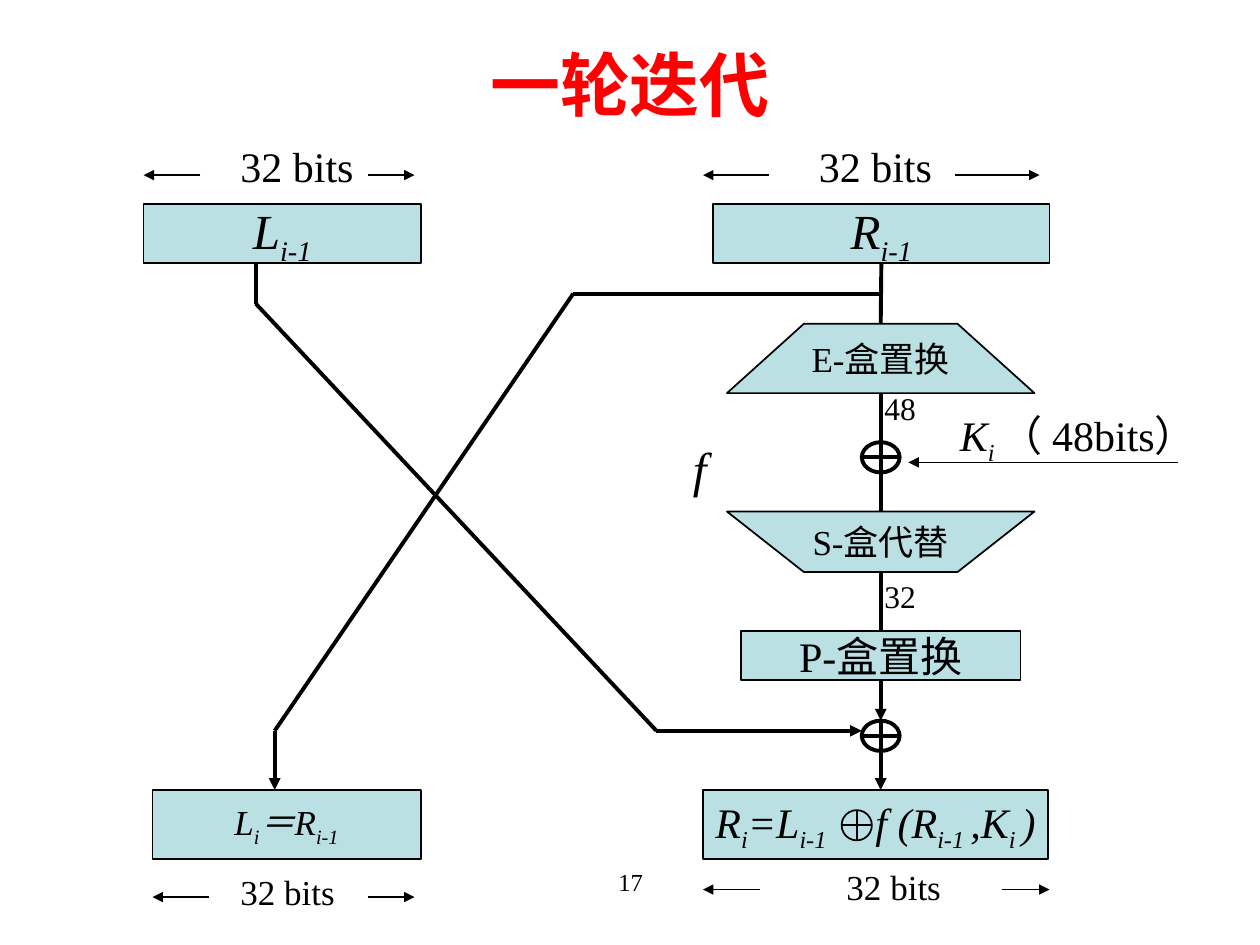
import collections
import lxml.etree
import pptx
import pptx.dml.color
import pptx.enum.shapes
import pptx.enum.text
import pptx.oxml.ns
import pptx.util

Inches = pptx.util.Inches
RGB = pptx.dml.color.RGBColor
Align = pptx.enum.text.PP_ALIGN
Anchor = pptx.enum.text.MSO_ANCHOR
Shape = pptx.enum.shapes.MSO_SHAPE
Link = pptx.enum.shapes.MSO_CONNECTOR
Box = collections.namedtuple("Box", "x y w h")


class Theme:
    ink = RGB.from_string("000000")
    fill = RGB.from_string("BBE0E3")
    red = RGB.from_string("FF0000")
    face = "Times New Roman"
    head = "Lato"
    title, big, mid, small, note, page = 40, 28, 24, 20, 18, 14
    thin, thick = 1, 2.25


def style(item, **values):
    for key, value in values.items():
        setattr(item, key, value)


def units(*nums):
    return [Inches(n) for n in nums]


def add(tree, tag, **values):
    node = lxml.etree.SubElement(tree, pptx.oxml.ns.qn(tag))
    for key, value in values.items():
        node.set(key, value)
    return node


def write(shape, parts, size, italic=False, align=Align.CENTER, wrap=False,
          anchor=Anchor.MIDDLE, tab=None):
    frame = shape.text_frame
    style(frame, word_wrap=wrap, vertical_anchor=anchor)
    para = frame.paragraphs[0]
    para.alignment = align
    if tab:
        frame.margin_right = 0
        tabs = add(para._p.get_or_add_pPr(), "a:tabLst")
        add(tabs, "a:tab", pos=str(Inches(tab)), algn="l")
    for i, part in enumerate(parts):
        run = para.add_run()
        run.text = part
        style(run.font, name=Theme.face, size=pptx.util.Pt(size), italic=italic)
        run.font.color.rgb = Theme.ink
        if i % 2:
            run._r.get_or_add_rPr().set("baseline", "-25000")
    return para


def label(slide, box, parts, size, **opts):
    opts = {"align": Align.LEFT, "anchor": Anchor.TOP, **opts}
    return write(slide.shapes.add_textbox(*units(*box)), parts, size, **opts)


def edge(shape, width=Theme.thin):
    shape.shadow.inherit = False
    shape.line.color.rgb = Theme.ink
    shape.line.width = pptx.util.Pt(width)


def paint(shape):
    edge(shape)
    shape.fill.solid()
    shape.fill.fore_color.rgb = Theme.fill


def bar(slide, box, parts, size, **opts):
    shape = slide.shapes.add_shape(Shape.RECTANGLE, *units(*box))
    paint(shape)
    write(shape, parts, size, **opts)
    return shape


def line(slide, start, end, width=Theme.thick, arrow=False, source=None, target=None):
    wire = slide.shapes.add_connector(Link.STRAIGHT, *units(*start, *end))
    if source:
        wire.begin_connect(source, 2)
    if target:
        wire.end_connect(target, 0)
    wire.line.color.rgb = Theme.ink
    wire.line.width = pptx.util.Pt(width)
    if arrow:
        add(wire.line._get_or_add_ln(), "a:tailEnd", type="triangle")
    add(wire._element.spPr, "a:effectLst")


def funnel(slide, box, text, flip=False):
    x, y, w, h = box
    wide, slim = (y, y + h) if flip else (y + h, y)
    inset = w / 4
    form = slide.shapes.build_freeform(*units(x, wide))
    spots = [(x + inset, slim), (x + w - inset, slim), (x + w, wide)]
    form.add_line_segments([units(*spot) for spot in spots], close=True)
    shape = form.convert_to_shape()
    paint(shape)
    write(shape, [text], Theme.small)


def xor(slide, box, width):
    x, y, w, h = box
    ring = slide.shapes.add_shape(Shape.OVAL, *units(*box))
    edge(ring, width)
    ring.fill.background()
    line(slide, (x, y + h / 2), (x + w, y + h / 2), width)
    line(slide, (x + w / 2, y), (x + w / 2, y + h), width)


def span(slide, box, shift, tails, size, drop):
    x, y, w, h = box
    left, right = tails
    label(slide, Box(x + shift, y, 1.1, h), ["32 bits"], size)
    mid, end = y + drop, x + w
    line(slide, (x + left, mid), (x, mid), Theme.thin, True)
    line(slide, (end - right, mid), (end, mid), Theme.thin, True)


def spans(slide, box):
    x, y, w, h = box
    low = y + 5.75
    span(slide, Box(x, y, 2.15, 0.5), 0.67, (0.45, 0.37), Theme.mid, 0.32)
    span(slide, Box(x + 4.44, y, 2.67, 0.5), 0.82, (0.52, 0.67), Theme.mid, 0.32)
    span(slide, Box(x + 0.07, low + 0.04, 2.08, 0.44), 0.6, (0.45, 0.37), Theme.small, 0.26)
    span(slide, Box(x + 4.44, low, 2.75, 0.44), 1.04, (0.45, 0.38), Theme.small, 0.24)


def cross(slide, box):
    x, y, w, h = box
    mid, low = x + w, y + 3.71
    paths = [
        [(x, y), (x, y + 0.32), (x + 3.18, low), (mid - 0.15, low)],
        [(mid, y + 0.24), (x + 2.52, y + 0.24), (x + 0.15, low), (x + 0.15, y + h)],
    ]
    for spots in paths:
        for i in range(3):
            line(slide, spots[i], spots[i + 1], arrow=i == 2)


def halves(slide, box):
    x, y, w, h = box
    low = y + h - 0.55
    bar(slide, Box(x, y, 2.2, 0.47), ["L", "i-1"], Theme.big, italic=True)
    right = bar(slide, Box(x + 4.52, y, 2.67, 0.47), ["R", "i-1"], Theme.big, italic=True)
    bar(slide, Box(x + 0.07, low, 2.13, 0.55), ["L", "i", "＝R", "i-1"],
        Theme.small, italic=True)
    parts = ["R", "i", "=L", "i-1", "\tf (R", "i-1 ", ",K", "i ", ")"]
    bar(slide, Box(x + 4.44, low, 2.74, 0.55), parts, Theme.mid,
        italic=True, align=Align.LEFT, wrap=True, tab=1.27)
    xor(slide, Box(x + 5.54, low + 0.16, 0.24, 0.24), Theme.thin)
    return right


def chain(slide, box, right):
    x, y, w, h = box
    mid = x + w / 2
    line(slide, (mid, y - 0.48), (mid, y), source=right)
    label(slide, Box(mid + 0.53, y + 0.63, 2.2, 0.96), ["K", "i ", "（ 48bits）"],
          Theme.mid, italic=True, wrap=True).runs[2].font.italic = False
    line(slide, (mid + 2.36, y + 1.1), (mid + 0.22, y + 1.1), Theme.thin, True)
    label(slide, Box(x - 0.37, y + 0.86, 0.37, 0.57), ["f"], Theme.big, italic=True)
    funnel(slide, Box(x, y, w, 0.55), "E-盒置换")
    funnel(slide, Box(x, y + 1.49, w, 0.48), "S-盒代替", True)
    last = bar(slide, Box(mid - 1.11, y + 2.44, 2.22, 0.39), ["P-盒置换"], Theme.mid)
    for top, end in [(0.55, 0.94), (1.18, 1.49)]:
        line(slide, (mid, y + top), (mid, y + end))
    line(slide, (mid, y + 1.97), (mid, y + 2.44), target=last)
    line(slide, (mid, y + 2.83), (mid, y + 3.15), arrow=True, source=last)
    line(slide, (mid, y + 3.38), (mid, y + h), arrow=True)
    for top in (0.94, 3.15):
        xor(slide, Box(mid - 0.15, y + top, 0.3, 0.24), Theme.thick)
    for top, text in [(0.47, "48"), (1.96, "32")]:
        label(slide, Box(mid - 0.07, y + top, 0.52, 0.4), [text], Theme.note)


def title(slide, box):
    head = slide.shapes.title
    style(head, **dict(zip(("left", "top", "width", "height"), units(*box))))
    run = write(head, ["一轮迭代"], Theme.title, wrap=True).runs[0]
    style(run.font, name=Theme.head, bold=True)
    run.font.color.rgb = Theme.red


def main():
    deck = pptx.Presentation()
    style(deck, slide_width=Inches(10), slide_height=Inches(7.5))
    slide = deck.slides.add_slide(deck.slide_layouts[5])
    title(slide, Box(0, 0.33, 10, 0.67))
    spans(slide, Box(1.14, 1.07, 7.19, 6.19))
    right = halves(slide, Box(1.14, 1.62, 7.19, 5.2))
    cross(slide, Box(2.03, 2.09, 4.96, 4.18))
    chain(slide, Box(5.77, 2.57, 2.44, 3.7), right)
    label(slide, Box(3.42, 6.83, 3.17, 0.5), ["17"], Theme.page,
          align=Align.CENTER, wrap=True)
    deck.save("out.pptx")


if __name__ == "__main__":
    main()
